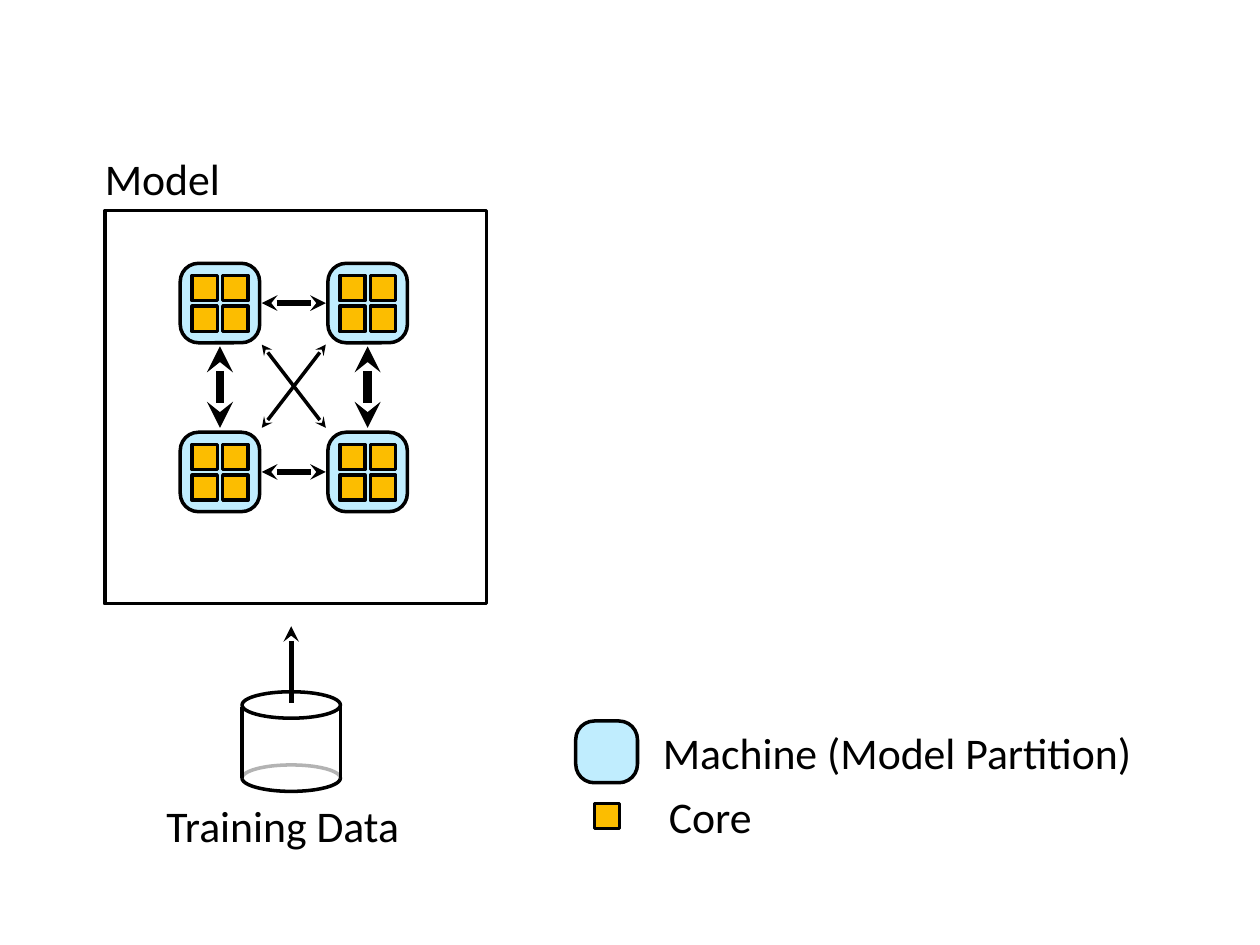
import itertools

import pptx
import pptx.dml.color
import pptx.enum.shapes
import pptx.enum.text
import pptx.oxml.ns
import pptx.util
from lxml import etree

Pt = pptx.util.Pt
RGBColor = pptx.dml.color.RGBColor
Shape = pptx.enum.shapes.MSO_SHAPE

BLACK = RGBColor(0x00, 0x00, 0x00)
WHITE = RGBColor(0xFF, 0xFF, 0xFF)
MACHINE_BLUE = RGBColor(0xC0, 0xED, 0xFE)
CORE_YELLOW = RGBColor(0xFC, 0xBD, 0x00)

LABEL_HEIGHT = 31
MACHINE_SIZE = 45.4
CORE_SIZE = 14.4
CORE_PITCH = 17.5


def add_child(parent, tag, **attributes):
    return etree.SubElement(parent, pptx.oxml.ns.qn(tag), attributes)


def add_label(slide, left, top, width, text):
    box = slide.shapes.add_textbox(Pt(left), Pt(top), Pt(width), Pt(LABEL_HEIGHT))
    frame = box.text_frame
    frame.margin_left = frame.margin_right = frame.margin_top = frame.margin_bottom = 0
    frame.word_wrap = True
    frame.vertical_anchor = pptx.enum.text.MSO_ANCHOR.MIDDLE
    frame.text = text
    font = frame.paragraphs[0].runs[0].font
    font.name = "Calibri"
    font.size = Pt(25)
    font.color.rgb = BLACK


def add_outlined(slide, kind, left, top, width, height, fill=None):
    """Add a shape with a black 2 pt outline, hollow unless a fill is given."""
    shape = slide.shapes.add_shape(kind, Pt(left), Pt(top), Pt(width), Pt(height))
    shape.shadow.inherit = False
    shape.line.color.rgb = BLACK
    shape.line.width = Pt(2)
    if fill is None:
        shape.fill.background()
    else:
        shape.fill.solid()
        shape.fill.fore_color.rgb = fill
    return shape


def add_line(slide, start, end, weight, heads=()):
    """Add a straight line; heads lists the ends that carry an arrowhead."""
    connector = slide.shapes.add_connector(
        pptx.enum.shapes.MSO_CONNECTOR.STRAIGHT, *map(Pt, start + end))
    connector.line.color.rgb = BLACK
    connector.line.width = Pt(weight)
    line = connector.line._get_or_add_ln()
    for head in heads:
        add_child(line, head, type="stealth")
    add_child(connector._element.spPr, "a:effectLst")


def add_machine(slide, left, top, size, corner):
    machine = add_outlined(slide, Shape.ROUNDED_RECTANGLE, left, top, size, size, MACHINE_BLUE)
    machine.adjustments[0] = corner


def add_core(slide, left, top):
    add_outlined(slide, Shape.RECTANGLE, left, top, CORE_SIZE, CORE_SIZE, CORE_YELLOW)


def add_machine_links(slide, columns, rows):
    """Join the four machines with double arrows, heavier for busier links."""
    both = ("a:headEnd", "a:tailEnd")
    half = MACHINE_SIZE / 2
    left, right = columns[0] + MACHINE_SIZE + 1.2, columns[1] - 1.2
    top, bottom = rows[0] + MACHINE_SIZE + 2, rows[1] - 2.5
    for column in columns:
        add_line(slide, (column + half, top), (column + half, bottom), 5, both)
    for row in rows:
        add_line(slide, (left, row + half), (right, row + half), 3, both)
    for start, end in ((left, right), (right, left)):
        add_line(slide, (start, top - 1), (end, bottom), 2, both)


def add_model(slide, left, top, width, height):
    add_label(slide, left, top - 34, 70, "Model")
    add_outlined(slide, Shape.RECTANGLE, left, top, width, height)
    columns = [left + 43.1, left + 127.5]
    rows = [top + 30.2, top + 126.7]
    for column, row in itertools.product(columns, rows):
        add_machine(slide, column, row, MACHINE_SIZE, 0.23)
        for across, down in itertools.product(range(2), repeat=2):
            add_core(slide, column + 6.8 + across * CORE_PITCH, row + 7 + down * CORE_PITCH)
    add_machine_links(slide, columns, rows)


def add_training_data(slide, left, top, width, height):
    """Draw a see-through cylinder with an arrow up to the model and a label."""
    rim = 15.1
    upper, lower = top + rim / 2 + 1, top + height - rim / 2
    add_outlined(slide, Shape.OVAL, left, top + height - rim, width, rim)
    veil = add_outlined(slide, Shape.RECTANGLE, left, upper, width, lower - upper, WHITE)
    veil.line.fill.background()
    color = veil._element.spPr.find(".//" + pptx.oxml.ns.qn("a:srgbClr"))
    add_child(color, "a:alpha", val="70000")
    add_outlined(slide, Shape.OVAL, left, top, width, rim)
    for side in (left, left + width):
        add_line(slide, (side, upper), (side, lower), 2)
    middle = left + width / 2
    add_line(slide, (middle, top - 37.5), (middle, top + 6.5), 3, ("a:headEnd",))
    add_label(slide, left - 43.2, top + height + 3.5, 153, "Training Data")


def add_legend(slide, left, top):
    add_machine(slide, left, top, 35.3, 0.3)
    add_label(slide, left + 49.8, top + 2, 291, "Machine (Model Partition)")
    add_core(slide, left + 10.7, top + 47.2)
    add_label(slide, left + 53.2, top + 38.8, 56, "Core")


def main():
    presentation = pptx.Presentation()
    presentation.slide_width = Pt(720)
    presentation.slide_height = Pt(540)
    slide = presentation.slides.add_slide(presentation.slide_layouts[6])
    add_model(slide, 59.9, 120.3, 218, 224.7)
    add_training_data(slide, 138.3, 395.3, 56.2, 56.9)
    add_legend(slide, 329, 412)
    presentation.save("out.pptx")


if __name__ == "__main__":
    main()
